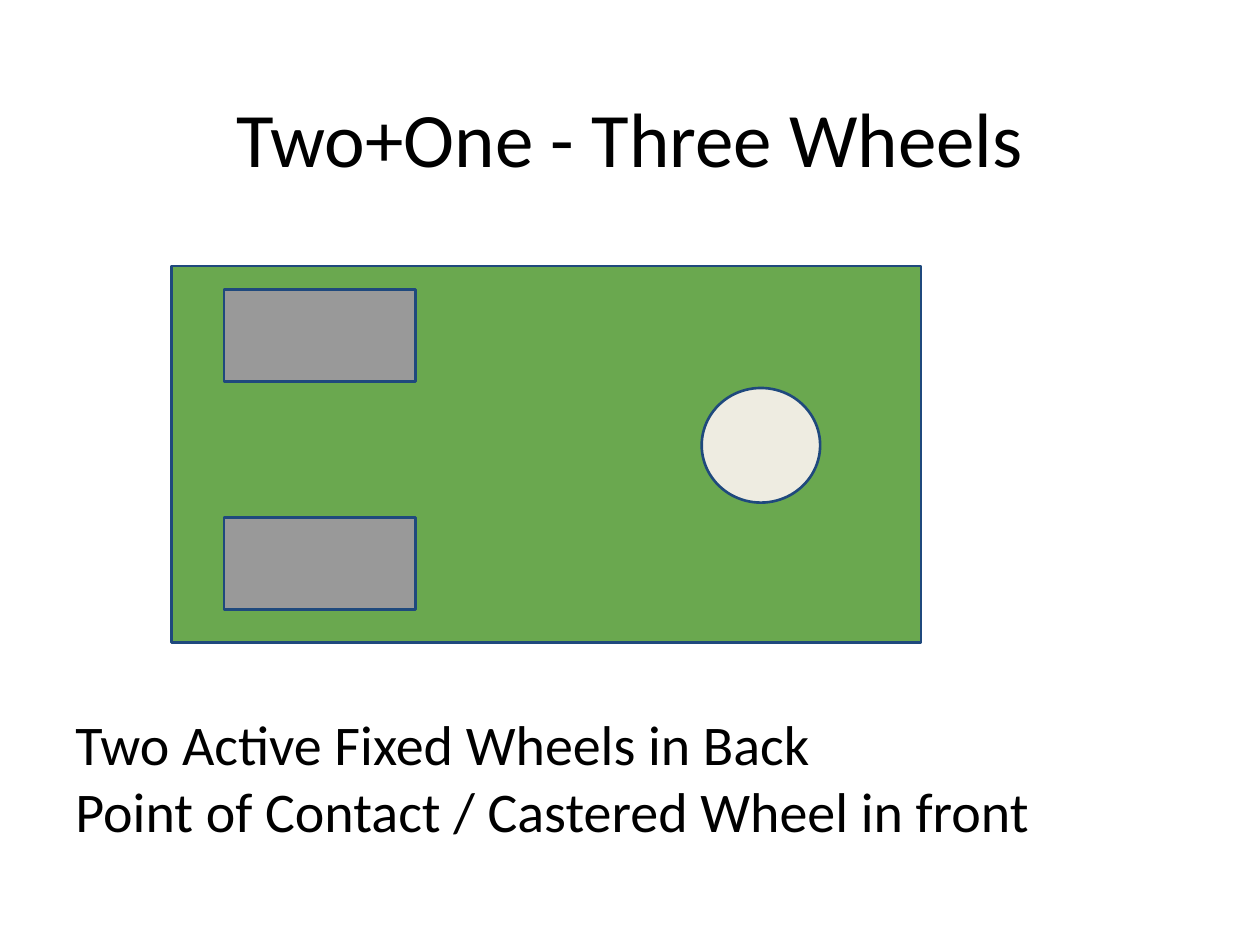
import pptx
import pptx.util
import pptx.dml.color
import pptx.enum.shapes
import pptx.enum.text

Pt = pptx.util.Pt
KIND = pptx.enum.shapes.MSO_SHAPE
ANCHOR = pptx.enum.text.MSO_ANCHOR
ALIGN = pptx.enum.text.PP_ALIGN


def color(code):
    return pptx.dml.color.RGBColor.from_string(code)


def add_text(slide, box, lines, size, align, anchor):
    frame = slide.shapes.add_textbox(*map(Pt, box)).text_frame
    frame.word_wrap = True
    frame.vertical_anchor = anchor
    frame.margin_left = frame.margin_right = Pt(7.2)
    frame.margin_top = frame.margin_bottom = Pt(7.2)
    for i, line in enumerate(lines):
        para = frame.add_paragraph() if i else frame.paragraphs[0]
        para.alignment = align
        run = para.add_run()
        run.text = line
        run.font.name = "Calibri"
        run.font.size = Pt(size)
        run.font.color.rgb = color("000000")


def add_part(slide, kind, box, fill):
    part = slide.shapes.add_shape(kind, *map(Pt, box))
    part.shadow.inherit = False
    part.fill.solid()
    part.fill.fore_color.rgb = color(fill)
    part.line.color.rgb = color("1F497D")
    part.line.width = Pt(1.5)


def add_title(slide, box):
    add_text(slide, box, ["Two+One - Three Wheels"], 44,
             ALIGN.CENTER, ANCHOR.BOTTOM)


def add_robot(slide, box):
    left, top, _, _ = box
    # Chassis
    add_part(slide, KIND.RECTANGLE, box, "6AA84F")
    # Two fixed wheels in back
    for row in range(2):
        wheel = (left + 30.2, top + 13.7 + row * 130.3, 109.4, 52.6)
        add_part(slide, KIND.RECTANGLE, wheel, "999999")
    # Castered wheel in front
    caster = (left + 303.1, top + 69.8, 67.7, 65.5)
    add_part(slide, KIND.OVAL, caster, "EEECE1")


def add_notes(slide, box):
    lines = ["Two Active Fixed Wheels in Back",
             "Point of Contact / Castered Wheel in front"]
    add_text(slide, box, lines, 32, ALIGN.LEFT, ANCHOR.TOP)


def main():
    deck = pptx.Presentation()
    deck.slide_width, deck.slide_height = Pt(720), Pt(540)
    slide = deck.slides.add_slide(deck.slide_layouts[6])
    add_title(slide, (36, 21.6, 648, 90))
    add_notes(slide, (36, 398.2, 648, 119.5))
    add_robot(slide, (97.9, 151.9, 428.4, 215.3))
    deck.save("out.pptx")


if __name__ == "__main__":
    main()
